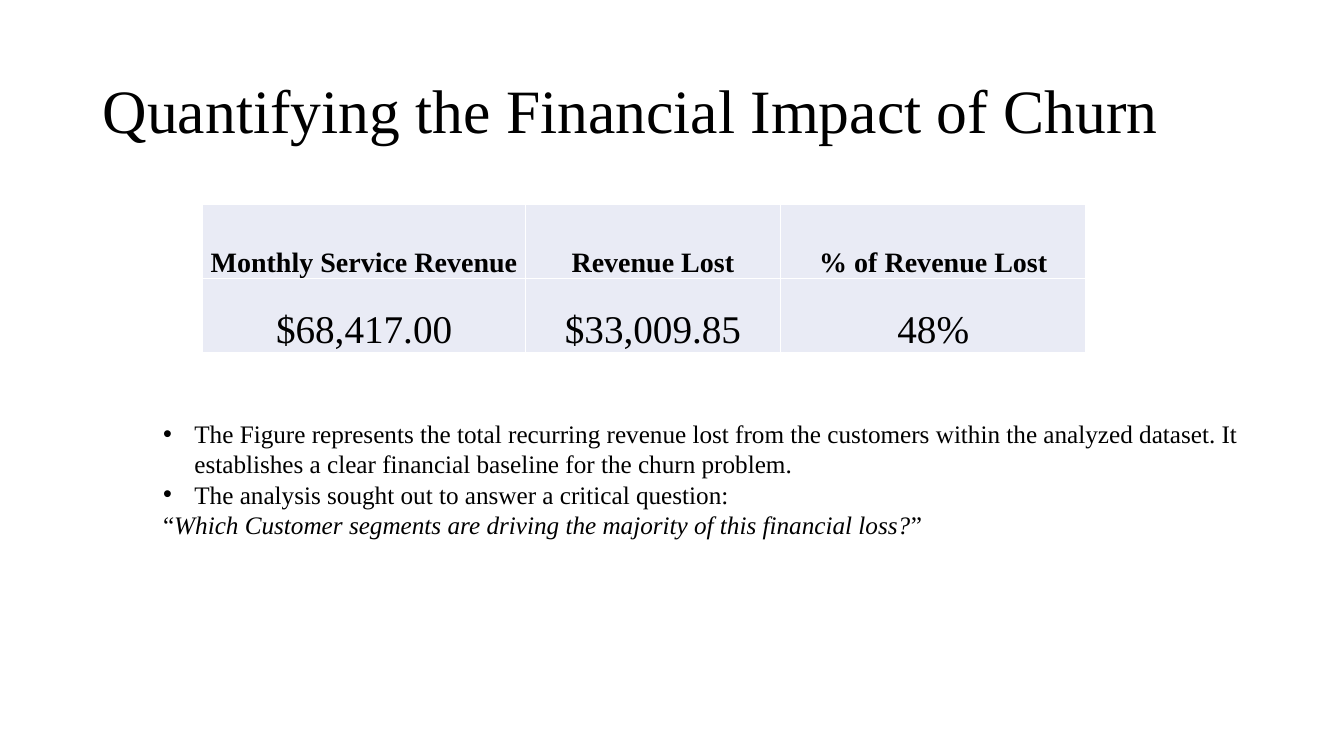
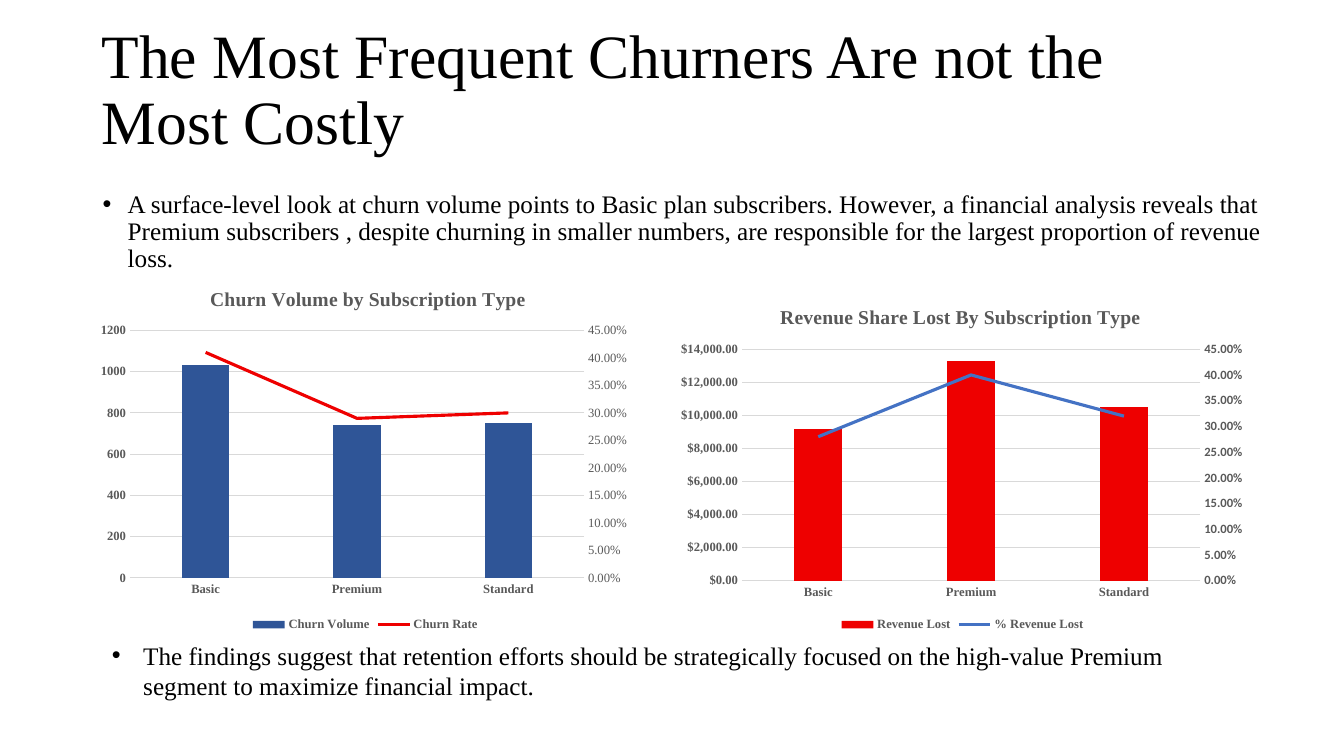
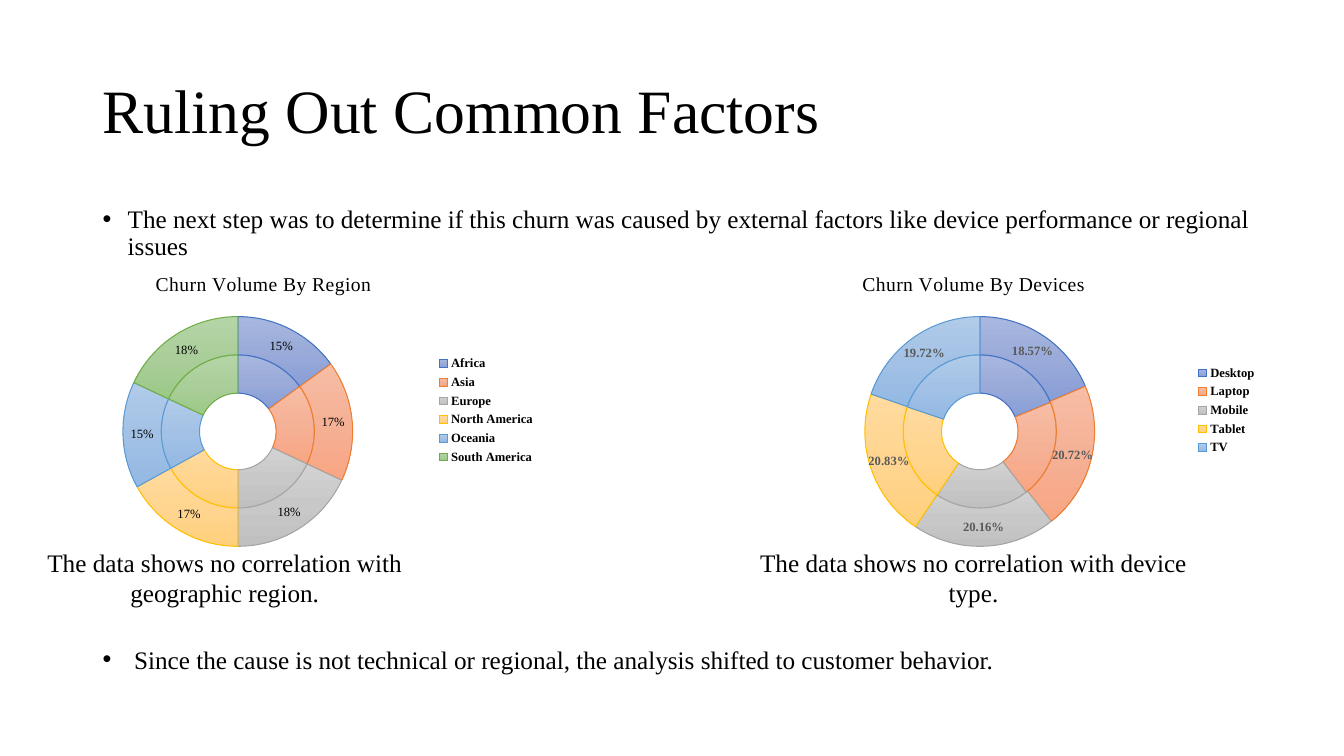
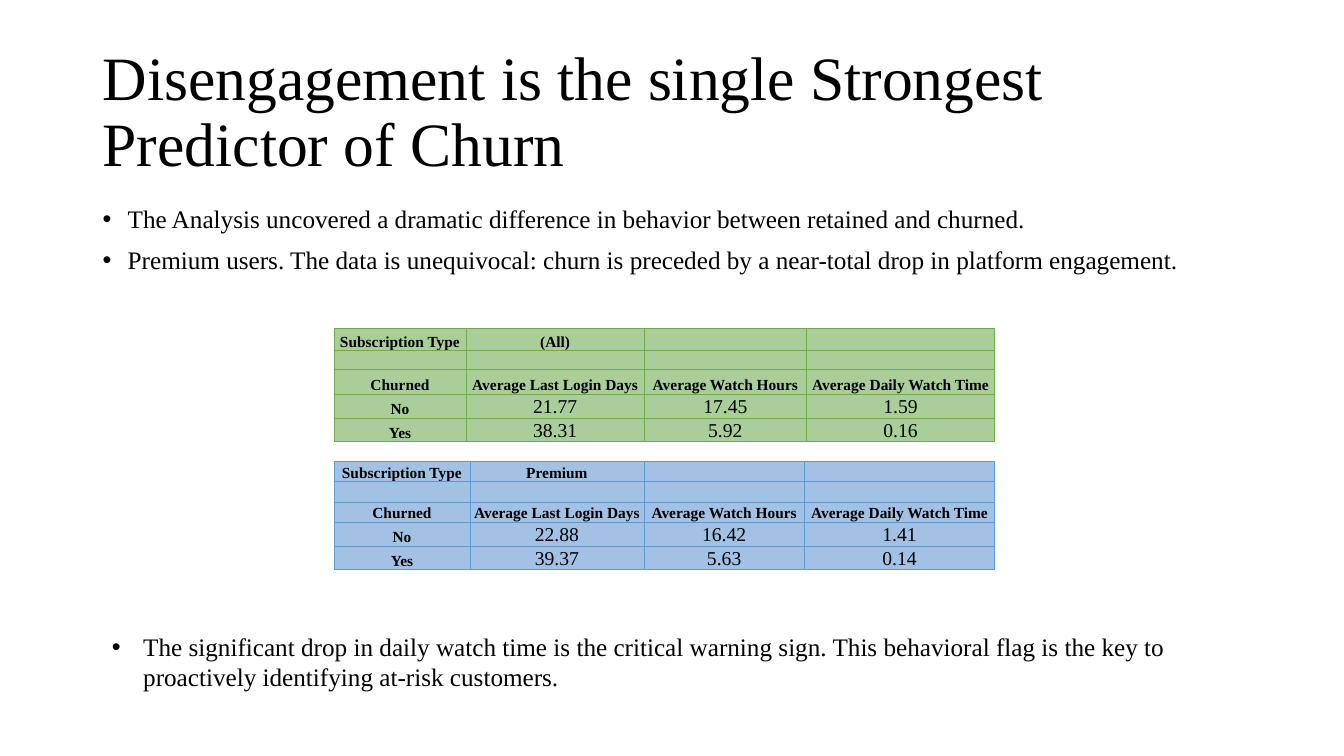
from copy import deepcopy

from lxml.etree import SubElement
from pptx import Presentation
from pptx.chart.axis import CategoryAxis, ValueAxis
from pptx.chart.data import CategoryChartData
from pptx.dml.color import RGBColor
from pptx.enum.chart import XL_CHART_TYPE as ChartType
from pptx.enum.chart import XL_LEGEND_POSITION as LegendPosition
from pptx.enum.chart import XL_MARKER_STYLE as Marker
from pptx.enum.chart import XL_TICK_MARK as TickMark
from pptx.enum.text import MSO_ANCHOR as Anchor
from pptx.enum.text import PP_ALIGN as Align
from pptx.oxml import parse_xml
from pptx.oxml.ns import nsdecls, qn
from pptx.util import Cm, Pt

SERIF = "Times New Roman"
SANS = "Calibri"
BLACK = RGBColor(0x00, 0x00, 0x00)
WHITE = RGBColor(0xFF, 0xFF, 0xFF)
GREY = RGBColor(0x59, 0x59, 0x59)
GRID = RGBColor(0xD9, 0xD9, 0xD9)
LAVENDER = RGBColor(0xE9, 0xEB, 0xF5)
NAVY = RGBColor(0x2F, 0x55, 0x97)
RED = RGBColor(0xEE, 0x00, 0x00)
BLUE = RGBColor(0x44, 0x72, 0xC4)
SKY = RGBColor(0x5B, 0x9B, 0xD5)
GREEN = RGBColor(0x70, 0xAD, 0x47)
SKY_FILL = RGBColor(0xA3, 0xC1, 0xE5)
GREEN_FILL = RGBColor(0xAA, 0xCE, 0x9A)

# Outline, then the top, middle and bottom colour of each doughnut segment
SEGMENTS = [
    (BLUE, "A8B7DF", "9AABD9", "889ED7"),
    (RGBColor(0xED, 0x7D, 0x31), "F7BDA5", "F5B196", "F8A582"),
    (RGBColor(0xA5, 0xA5, 0xA5), "D2D2D2", "C8C8C8", "C0C0C0"),
    (RGBColor(0xFF, 0xC0, 0x00), "FFDB9E", "FFD590", "FFD07C"),
    (SKY, "B1CBE9", "A3C1E5", "93B9E4"),
    (GREEN, "B5D5A7", "AACE9A", "9CC987"),
]


def style_font(font, size, color=BLACK, bold=False, name=SERIF):
    font.name = name
    font.size = Pt(size)
    font.bold = bold
    font.color.rgb = color


def add_bullet(para, indent):
    props = para._p.get_or_add_pPr()
    props.set("marL", str(Cm(indent)))
    props.set("indent", str(-Cm(indent)))
    SubElement(props, qn("a:buFont"), typeface="Arial")
    SubElement(props, qn("a:buChar"), char="•")


def place(parent, index, **fractions):
    """Give a chart part a fixed place, in fractions of the chart."""
    for old in parent.findall(qn("c:layout")):
        parent.remove(old)
    layout = parse_xml(f"<c:layout {nsdecls('c')}><c:manualLayout/></c:layout>")
    manual = layout[0]
    if "w" in fractions:
        SubElement(manual, qn("c:layoutTarget"), val="inner")
    for key in "xy":
        SubElement(manual, qn(f"c:{key}Mode"), val="edge")
    for key, value in fractions.items():
        SubElement(manual, qn(f"c:{key}"), val=str(value))
    parent.insert(index, layout)


def set_borders(cell, color, width):
    props = cell._tc.get_or_add_tcPr()
    for index, side in enumerate(("lnL", "lnR", "lnT", "lnB")):
        props.insert(index, parse_xml(
            f'<a:{side} {nsdecls("a")} w="{Pt(width)}"><a:solidFill>'
            f'<a:srgbClr val="{color}"/></a:solidFill></a:{side}>'))


def shade(fill, colors):
    """Fill from top to bottom with three colours."""
    fill.gradient()
    fill.gradient_angle = 270
    first = fill.gradient_stops[0]._gs
    first.addnext(deepcopy(first))
    for stop, color, position in zip(fill.gradient_stops, colors, (0, 0.5, 1)):
        stop.color.rgb = RGBColor.from_string(color)
        stop.position = position


def move_to_right_axis(chart):
    """Draw the second bar series as a line on an axis at the right."""
    area = chart.element.xpath("//c:plotArea")[0]
    bars = area.find(qn("c:barChart"))
    series = bars.findall(qn("c:ser"))[1]
    for flag in series.findall(qn("c:invertIfNegative")):
        series.remove(flag)
    lines = parse_xml(
        f'<c:lineChart {nsdecls("c")}><c:grouping val="standard"/>'
        '<c:varyColors val="0"/><c:marker val="1"/>'
        '<c:axId val="501"/><c:axId val="502"/></c:lineChart>')
    lines.insert(2, series)
    bars.addnext(lines)
    copies = []
    for tag, own, other in (("c:catAx", "501", "502"), ("c:valAx", "502", "501")):
        axis = deepcopy(area.find(qn(tag)))
        axis.find(qn("c:axId")).set("val", own)
        axis.find(qn("c:crossAx")).set("val", other)
        area.append(axis)
        copies.append(axis)
    CategoryAxis(copies[0]).visible = False
    copies[1].find(qn("c:axPos")).set("val", "r")
    copies[1].find(qn("c:crosses")).set("val", "max")
    right = ValueAxis(copies[1])
    right.has_major_gridlines = False
    return right


def scale_axis(axis, top, step, number_format):
    axis.minimum_scale = 0
    axis.maximum_scale = top
    axis.major_unit = step
    axis.tick_labels.number_format = number_format
    axis.tick_labels.number_format_is_linked = False


class Slides:
    def __init__(self):
        self.deck = Presentation()
        self.deck.slide_width = Cm(33.87)
        self.deck.slide_height = Cm(19.05)
        self.page = None

    def new_page(self, title, left=2.34, top=1.02):
        self.page = self.deck.slides.add_slide(self.deck.slide_layouts[6])
        self.text(left, top, 29.21, 3.68, [title], size=44, spacing=0.9,
                  anchor=Anchor.MIDDLE)

    def text(self, left, top, width, height, lines, size=18, indent=None,
             spacing=None, gap=0, align=None, anchor=Anchor.TOP):
        """Lines are strings; a tuple holds plain, italic, plain, without bullet."""
        box = self.page.shapes.add_textbox(Cm(left), Cm(top), Cm(width), Cm(height))
        frame = box.text_frame
        frame.word_wrap = True
        frame.vertical_anchor = anchor
        for number, line in enumerate(lines):
            para = frame.add_paragraph() if number else frame.paragraphs[0]
            spans = line if isinstance(line, tuple) else (line,)
            if indent and len(spans) == 1:
                add_bullet(para, indent)
            para.alignment = align
            if spacing:
                para.line_spacing = spacing
            if number and gap:
                para.space_before = Pt(gap)
            for position, words in enumerate(spans):
                span = para.add_run()
                span.text = words
                style_font(span.font, size)
                span.font.italic = position == 1

    def body(self, top, width, height, lines):
        self.text(2.34, top, width, height, lines, indent=0.63, spacing=0.9, gap=10)

    def note(self, left, top, width, height, lines):
        self.text(left, top, width, height, lines, indent=0.79)

    def caption(self, left, words):
        self.text(left, 13.67, 11.33, 1.8, [words], align=Align.CENTER)

    def table(self, left, top, widths, heights, rows, fill, border, line_width,
              label_size, value_size):
        frame = self.page.shapes.add_table(
            len(heights), len(widths), Cm(left), Cm(top),
            Cm(sum(widths)), Cm(sum(heights)))
        table = frame.table
        table.first_row = table.horz_banding = False
        for column, width in zip(table.columns, widths):
            column.width = Cm(width)
        for row, height, words in zip(table.rows, heights, rows):
            row.height = Cm(height)
            for cell, word in zip(row.cells, words):
                self.fill_cell(cell, word, label_size, value_size)
                cell.fill.solid()
                cell.fill.fore_color.rgb = fill
                set_borders(cell, border, line_width)

    def fill_cell(self, cell, word, label_size, value_size):
        """Numbers get the value size, all other words are bold labels."""
        cell.margin_left = cell.margin_right = Cm(0.02)
        cell.margin_top = cell.margin_bottom = 0
        cell.vertical_anchor = Anchor.BOTTOM
        para = cell.text_frame.paragraphs[0]
        para.alignment = Align.CENTER
        if not word:
            SubElement(para._p, qn("a:endParaRPr"), sz=str(label_size * 100))
            return
        para.text = word
        is_value = word.startswith("$") or word[0].isdigit()
        style_font(para.runs[0].font, value_size if is_value else label_size,
                   bold=not is_value)

    def chart(self, kind, at, title, title_x, plot_place, categories, series,
              legend, color, bold_title):
        data = CategoryChartData()
        data.categories = categories
        for name, values in series:
            data.add_series(name, values)
        chart = self.page.shapes.add_chart(kind, *map(Cm, at), data).chart
        style_font(chart.font, 10, name=SANS)
        chart.has_title = True
        para = chart.chart_title.text_frame.paragraphs[0]
        para.text = title
        style_font(para.runs[0].font, 14, color, bold_title)
        if not bold_title:
            para.runs[0]._r.get_or_add_rPr().set("spc", "20")
        place(chart.element.xpath("//c:title")[0], 1, x=title_x, y=0.03)
        place(chart.element.xpath("//c:plotArea")[0], 0, **plot_place)
        chart.has_legend = True
        chart.legend.position = legend
        chart.legend.include_in_layout = False
        style_font(chart.legend.font, 9, color, bold=True)
        return chart

    def combo(self, at, title, title_x, plot_place, series, colors, left_scale,
              right_bold, right_font):
        chart = self.chart(ChartType.COLUMN_CLUSTERED, at, title, title_x,
                           plot_place, ["Basic", "Premium", "Standard"], series,
                           LegendPosition.BOTTOM, GREY, True)
        for axis in (chart.category_axis, chart.value_axis):
            axis.major_tick_mark = axis.minor_tick_mark = TickMark.NONE
            style_font(axis.tick_labels.font, 9, GREY, bold=True)
        chart.value_axis.format.line.fill.background()
        for line in (chart.category_axis.format.line,
                     chart.value_axis.major_gridlines.format.line):
            line.color.rgb = GRID
            line.width = Pt(0.75)
        scale_axis(chart.value_axis, *left_scale)
        right = move_to_right_axis(chart)
        scale_axis(right, 0.45, 0.05, "0.00%")
        style_font(right.tick_labels.font, 9, GREY, right_bold, right_font)

        bars, lines = chart.plots
        bars.vary_by_categories = False
        bars.gap_width, bars.overlap = 219, -27
        bar_fill = bars.series[0].format.fill
        bar_fill.solid()
        bar_fill.fore_color.rgb = colors[0]
        rate = lines.series[0]
        rate.format.line.color.rgb = colors[1]
        rate.format.line.width = Pt(2.25)
        rate.marker.style = Marker.NONE
        rate.smooth = False

    def doughnut(self, left, title, title_x, plot_place, categories, rings,
                 label_format, label_color, as_percent):
        series = [(f"Series {number}", ring) for number, ring in enumerate(rings, 1)]
        chart = self.chart(ChartType.DOUGHNUT, (left, 6.53, 12.7, 7.62), title,
                           title_x, plot_place, categories, series,
                           LegendPosition.RIGHT, BLACK, False)
        for hole in chart.element.xpath("//c:holeSize"):
            hole.set("val", "75")
        for ring in chart.plots[0].series:
            for index in range(len(categories)):
                outline, *colors = SEGMENTS[index]
                segment = ring.points[index].format
                shade(segment.fill, colors)
                segment.line.color.rgb = outline
                segment.line.width = Pt(0.75)
        labels = chart.plots[0].series[1].data_labels
        labels.show_percentage = as_percent
        labels.show_value = not as_percent
        labels.number_format = label_format
        labels.number_format_is_linked = False
        style_font(labels.font, 9, label_color, bold=not as_percent)


def impact_page(slides):
    slides.new_page("Quantifying the Financial Impact of Churn")
    slides.table(5.11, 5.14, [8.13, 6.43, 7.7], [1.87] * 2, [
        ["Monthly Service Revenue", "Revenue Lost", "% of Revenue Lost"],
        ["$68,417.00", "$33,009.85", "48%"],
    ], LAVENDER, WHITE, 1, 20, 28)
    slides.note(3.86, 10.42, 28.3, 3.33, [
        "The Figure represents the total recurring revenue lost from the customers "
        "within the analyzed dataset. It establishes a clear financial baseline for "
        "the churn problem.",
        "The analysis sought out to answer a critical question:",
        ("“", "Which Customer segments are driving the majority of this financial "
         "loss?", "”"),
    ])


def plans_page(slides):
    slides.new_page("The Most Frequent Churners Are not the Most Costly", 2.31, 0.47)
    slides.body(4.7, 29.72, 5.23, [
        "A surface-level look at churn volume points to Basic plan subscribers. "
        "However, a financial analysis reveals that Premium subscribers , despite "
        "churning in smaller numbers, are responsible for the largest proportion of "
        "revenue loss."])
    slides.combo((2.31, 6.86, 13.79, 9.17), "Churn Volume by Subscription Type", 0.21,
                 dict(x=0.07, y=0.16, w=0.83, h=0.68),
                 [("Churn Volume", [1030, 740, 750]),
                  ("Churn Rate", [0.41, 0.29, 0.3])],
                 (NAVY, RED), (1200, 200, "General"), False, SERIF)
    slides.combo((16.94, 7.32, 14.63, 8.71), "Revenue Share Lost By Subscription Type",
                 0.18, dict(x=0.12, y=0.17, w=0.79, h=0.67),
                 [("Revenue Lost", [9200, 13300, 10500]),
                  ("% Revenue Lost", [0.28, 0.4, 0.32])],
                 (RED, BLUE), (14000, 2000, '"$"#,##0.00'), True, SANS)
    slides.note(2.57, 16, 28.7, 1.8, [
        "The findings suggest that retention efforts should be strategically focused "
        "on the high-value Premium segment to maximize financial impact."])


def factors_page(slides):
    slides.new_page("Ruling Out Common Factors")
    slides.body(5.08, 29.59, 2.39, [
        "The next step was to determine if this churn was caused by external factors "
        "like device performance or regional issues"])
    slides.doughnut(19.23, "Churn Volume By Devices", 0.19,
                    dict(x=0.2, y=0.19, w=0.46, h=0.76),
                    ["Desktop", "Laptop", "Mobile", "Tablet", "TV"],
                    [[19, 21, 20, 21, 20],
                     [0.1857, 0.2072, 0.2016, 0.2083, 0.1972]],
                    "0.00%", GREY, False)
    region_shares = [15, 17, 18, 17, 15, 18]
    slides.doughnut(1.04, "Churn Volume By Region", 0.22,
                    dict(x=0.16, y=0.19, w=0.46, h=0.76),
                    ["Africa", "Asia", "Europe", "North America", "Oceania",
                     "South America"],
                    [region_shares, region_shares], "0%", BLACK, True)
    slides.caption(0, "The data shows no correlation with geographic region.")
    slides.caption(18.87, "The data shows no correlation with device type.")
    slides.note(2.34, 16.1, 29.59, 1.02, [
        "Since the cause is not technical or regional, the analysis shifted to "
        "customer behavior."])


def behavior_page(slides):
    slides.new_page("Disengagement is the single Strongest Predictor of Churn")
    slides.body(5.08, 29.77, 3.2, [
        "The Analysis uncovered a dramatic difference in behavior between retained "
        "and churned.",
        "Premium users. The data is unequivocal: churn is preceded by a near-total "
        "drop in platform engagement."])
    tables = [
        (8.27, [3.32, 4.5, 4.08, 4.75], [0.56, 0.45, 0.64, 0.51, 0.51], "(All)",
         ["21.77", "17.45", "1.59"], ["38.31", "5.92", "0.16"], GREEN_FILL, GREEN),
        (11.63, [3.42, 4.39, 4.04, 4.8], [0.51] * 5, "Premium",
         ["22.88", "16.42", "1.41"], ["39.37", "5.63", "0.14"], SKY_FILL, SKY),
    ]
    for top, widths, heights, plan, retained, churned, fill, border in tables:
        slides.table(8.42, top, widths, heights, [
            ["Subscription Type", plan, "", ""],
            [""] * 4,
            ["Churned", "Average Last Login Days", "Average Watch Hours",
             "Average Daily Watch Time"],
            ["No", *retained],
            ["Yes", *churned],
        ], fill, border, 0.5, 11, 14)
    slides.note(2.57, 15.79, 28.96, 1.8, [
        "The significant drop in daily watch time is the critical warning sign. This "
        "behavioral flag is the key to proactively identifying at-risk customers."])


def main():
    slides = Slides()
    for build in (impact_page, plans_page, factors_page, behavior_page):
        build(slides)
    slides.deck.save("out.pptx")


if __name__ == "__main__":
    main()
